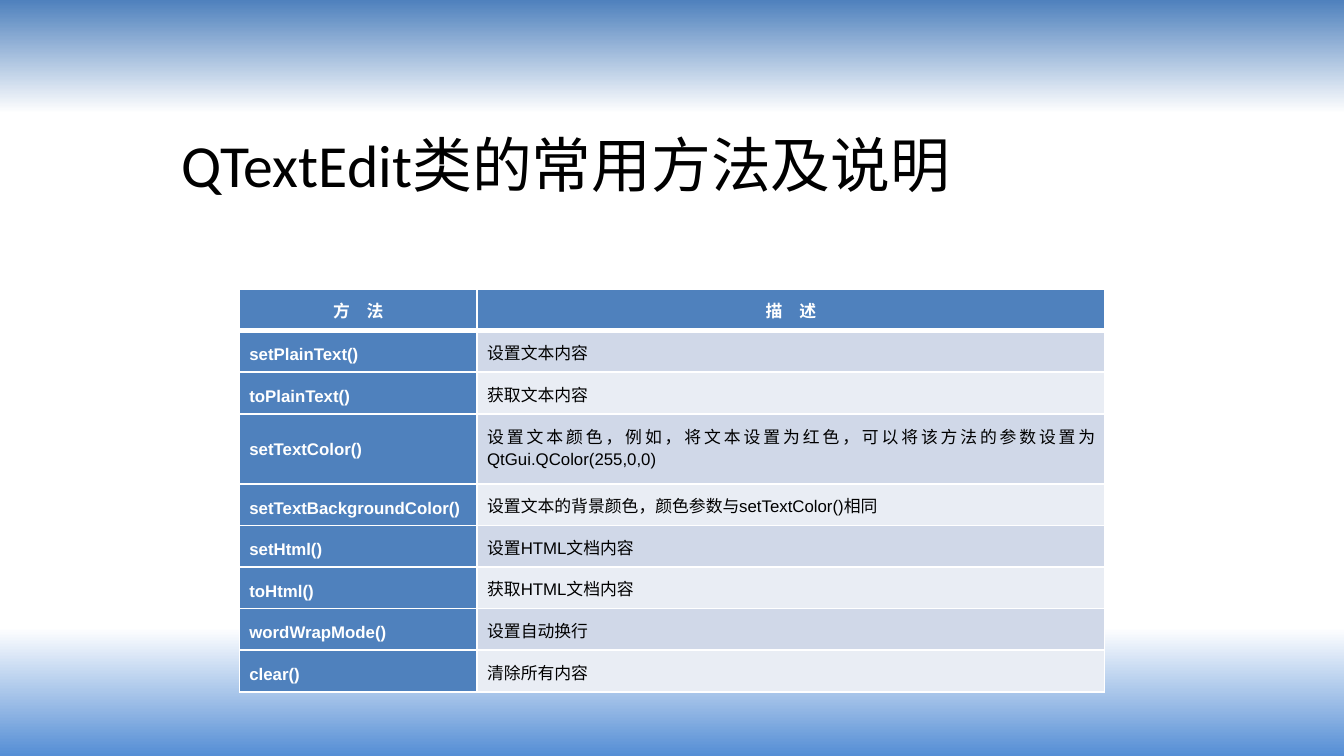
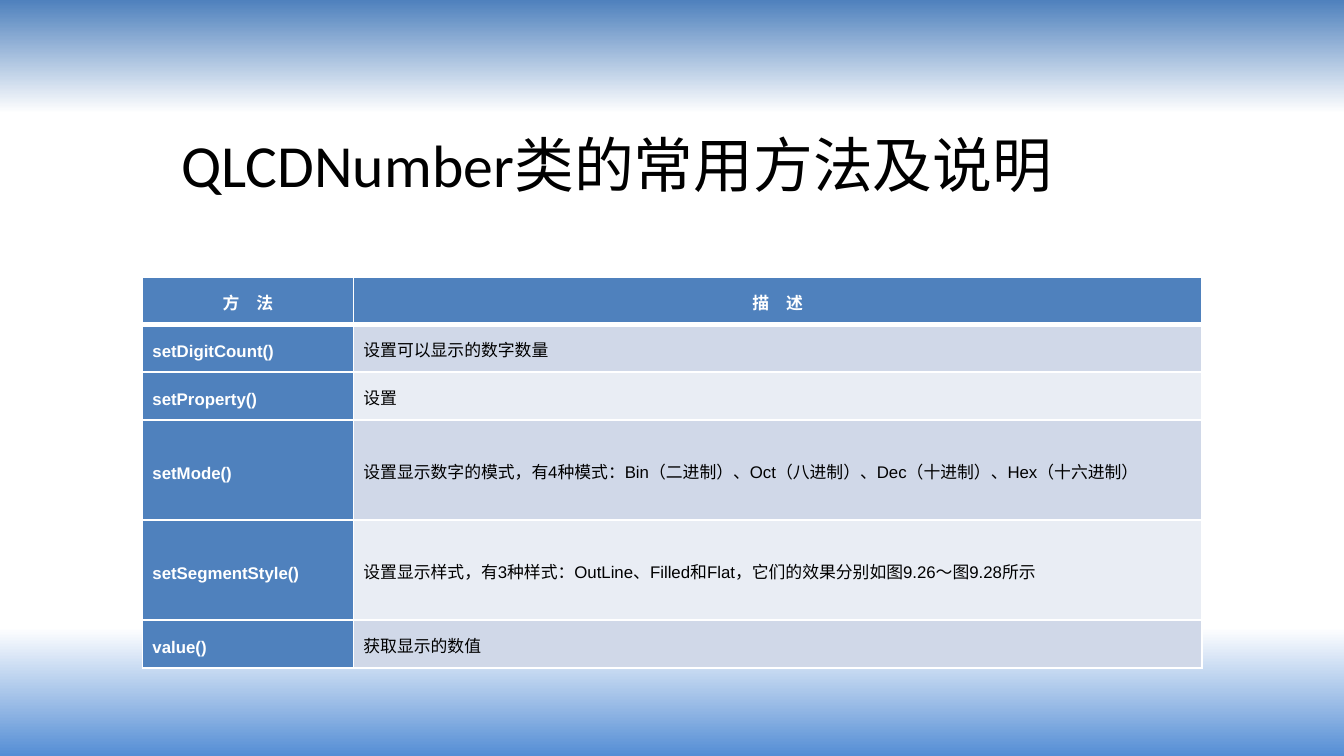
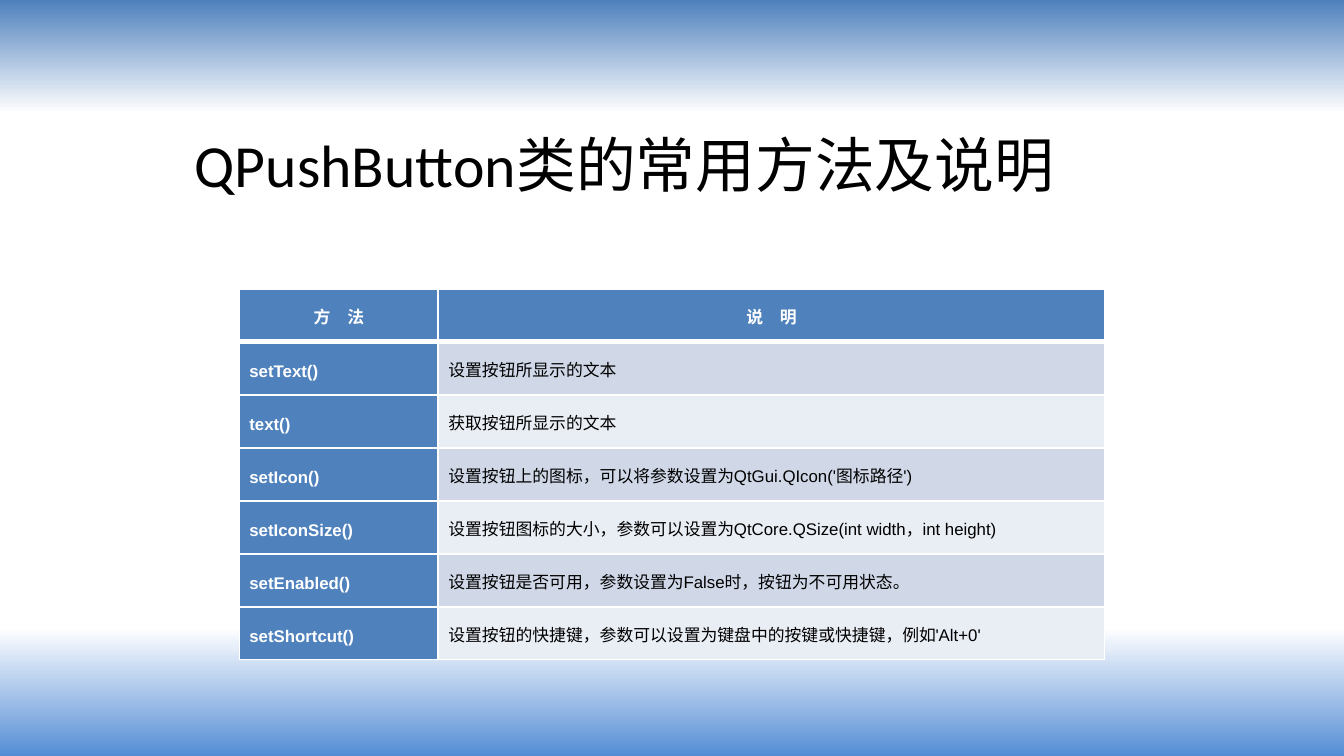
"""Build three slides that tabulate the common methods of Qt widget classes."""
from dataclasses import dataclass

from lxml.etree import SubElement
from pptx import Presentation
from pptx.dml.color import RGBColor
from pptx.enum.text import MSO_ANCHOR as Anchor, PP_ALIGN as Align
from pptx.oxml.ns import qn
from pptx.util import Pt

COLORS = {
    "accent": "4F81BD",
    "bottom": "558ED5",
    "white": "FFFFFF",
    "black": "000000",
    "band_dark": "D0D8E8",
    "band_light": "E9EDF4",
}
BACKGROUND_STOPS = [(0, "accent"), (15, "white"), (83, "white"), (100, "bottom")]
TITLE_SUFFIX = "类的常用方法及说明"
TITLE_INSET = 7.2
CELL_INSET = 5.4
LINE_SPACING = 14


@dataclass
class Method:
    """One body row of a method table."""
    name: str
    description: str
    height: float
    line_spacing: float = LINE_SPACING


@dataclass
class MethodSlide:
    """One slide: a class name and the table of its methods."""
    class_name: str
    title_width: float
    left: float
    top: float
    column_widths: tuple[float, float]
    headings: tuple[str, str]
    header_height: float
    methods: list[Method]
    title_indent: float = 0


SLIDES = [
    MethodSlide(
        "QTextEdit", 594, 128.2, 154.8, (127.4, 336.2), ("方　法", "描　述"), 22.3,
        [
            Method("setPlainText()", "设置文本内容", 22.3),
            Method("toPlainText()", "获取文本内容", 22.3),
            Method("setTextColor()",
                   "设置文本颜色，例如，将文本设置为红色，可以将该方法的参数设置为QtGui.QColor(255,0,0)",
                   37.6, 11),
            Method("setTextBackgroundColor()",
                   "设置文本的背景颜色，颜色参数与setTextColor()相同", 22.3),
            Method("setHtml()", "设置HTML文档内容", 22.3),
            Method("toHtml()", "获取HTML文档内容", 22.3),
            Method("wordWrapMode()", "设置自动换行", 22.3),
            Method("clear()", "清除所有内容", 22.3),
        ],
    ),
    MethodSlide(
        "QLCDNumber", 540, 76.3, 148.6, (113, 454.6), ("方　法", "描　述"), 25.2,
        [
            Method("setDigitCount()", "设置可以显示的数字数量", 25.6),
            Method("setProperty()", "设置", 25.6),
            Method("setMode()",
                   "设置显示数字的模式，有4种模式：Bin（二进制）、Oct（八进制）、Dec（十进制）、Hex（十六进制）",
                   53.6),
            Method("setSegmentStyle()",
                   "设置显示样式，有3种样式：OutLine、Filled和Flat，它们的效果分别如图9.26～图9.28所示",
                   53.6),
            Method("value()", "获取显示的数值", 25.6),
        ],
    ),
    MethodSlide(
        "QPushButton", 510, 128.2, 154.8, (106.6, 357), ("方　法", "说　明"), 28.4,
        [
            Method("setText()", "设置按钮所显示的文本", 28.4),
            Method("text()", "获取按钮所显示的文本", 28.4),
            Method("setIcon()",
                   "设置按钮上的图标，可以将参数设置为QtGui.QIcon('图标路径')", 28.4),
            Method("setIconSize()",
                   "设置按钮图标的大小，参数可以设置为QtCore.QSize(int width，int height)", 28.4),
            Method("setEnabled()",
                   "设置按钮是否可用，参数设置为False时，按钮为不可用状态。", 28.4),
            Method("setShortcut()",
                   "设置按钮的快捷键，参数可以设置为键盘中的按键或快捷键，例如'Alt+0'", 28.4),
        ],
        title_indent=7.2,
    ),
]


def color(name: str) -> RGBColor:
    """Return a palette colour."""
    return RGBColor.from_string(COLORS[name])


def set_font(paragraph, name: str, size: float, color_name: str, bold: bool = False) -> None:
    """Set the font of a whole paragraph."""
    font = paragraph.font
    font.name, font.size, font.bold = name, Pt(size), bold
    font.color.rgb = color(color_name)


def set_background(master) -> None:
    """Give every slide the vertical gradient of the master."""
    fill = master.background.fill
    fill.gradient()
    fill.gradient_angle = 270
    stops = next(master.element.iter(qn("a:gsLst")))
    for stop in list(stops):
        stops.remove(stop)
    for percent, name in BACKGROUND_STOPS:
        stop = SubElement(stops, qn("a:gs"), pos=str(percent * 1000))
        SubElement(stop, qn("a:srgbClr"), val=COLORS[name])


def add_title(slide, content: MethodSlide) -> None:
    """Add the slide title."""
    box = slide.shapes.add_textbox(Pt(90), Pt(64.8), Pt(content.title_width), Pt(48))
    frame = box.text_frame
    frame.word_wrap = True
    frame.margin_left = Pt(TITLE_INSET + content.title_indent)
    paragraph = frame.paragraphs[0]
    paragraph.text = content.class_name + TITLE_SUFFIX
    set_font(paragraph, "Calibri", 32, "black")


def set_borders(cell, widths: dict[str, float]) -> None:
    """Draw white borders on the named sides of a cell."""
    properties = cell._tc.get_or_add_tcPr()
    for index, (side, width) in enumerate(widths.items()):
        line = SubElement(properties, qn(f"a:ln{side}"), w=str(Pt(width)))
        fill = SubElement(line, qn("a:solidFill"))
        SubElement(fill, qn("a:srgbClr"), val=COLORS["white"])
        properties.insert(index, line)


def fill_cell(cell, text: str, fill: str, header: bool, emphasized: bool,
              line_spacing: float) -> None:
    """Write and style one table cell."""
    cell.fill.solid()
    cell.fill.fore_color.rgb = color(fill)
    cell.vertical_anchor = Anchor.MIDDLE
    cell.margin_left = cell.margin_right = Pt(CELL_INSET)
    cell.margin_top = cell.margin_bottom = 0
    paragraph = cell.text_frame.paragraphs[0]
    paragraph.text = text
    paragraph.alignment = Align.CENTER if header else Align.JUSTIFY
    paragraph.line_spacing = Pt(line_spacing)
    set_font(paragraph, "Arial", 9, "white" if emphasized else "black", emphasized)
    set_borders(cell, {"L": 1, "R": 1, "T": 1, "B": 3} if header
                else {"L": 1, "R": 1, "B": 1})


def add_method_table(slide, content: MethodSlide) -> None:
    """Add the table with a header row and an emphasized first column."""
    rows = [Method(*content.headings, content.header_height), *content.methods]
    table = slide.shapes.add_table(
        len(rows), 2, Pt(content.left), Pt(content.top),
        Pt(sum(content.column_widths)), Pt(sum(row.height for row in rows)),
    ).table
    table.first_col = True
    for column, width in zip(table.columns, content.column_widths):
        column.width = Pt(width)
    for index, row in enumerate(rows):
        table.rows[index].height = Pt(row.height)
        header = index == 0
        band = "band_dark" if index % 2 else "band_light"
        for column, text in enumerate((row.name, row.description)):
            emphasized = header or column == 0
            fill_cell(table.cell(index, column), text, "accent" if emphasized else band,
                      header, emphasized, row.line_spacing)


def main() -> None:
    """Build and save the presentation."""
    presentation = Presentation()
    presentation.slide_width, presentation.slide_height = Pt(720), Pt(405)
    set_background(presentation.slide_master)
    for content in SLIDES:
        slide = presentation.slides.add_slide(presentation.slide_layouts[6])
        add_title(slide, content)
        add_method_table(slide, content)
    presentation.save("out.pptx")


if __name__ == "__main__":
    main()
